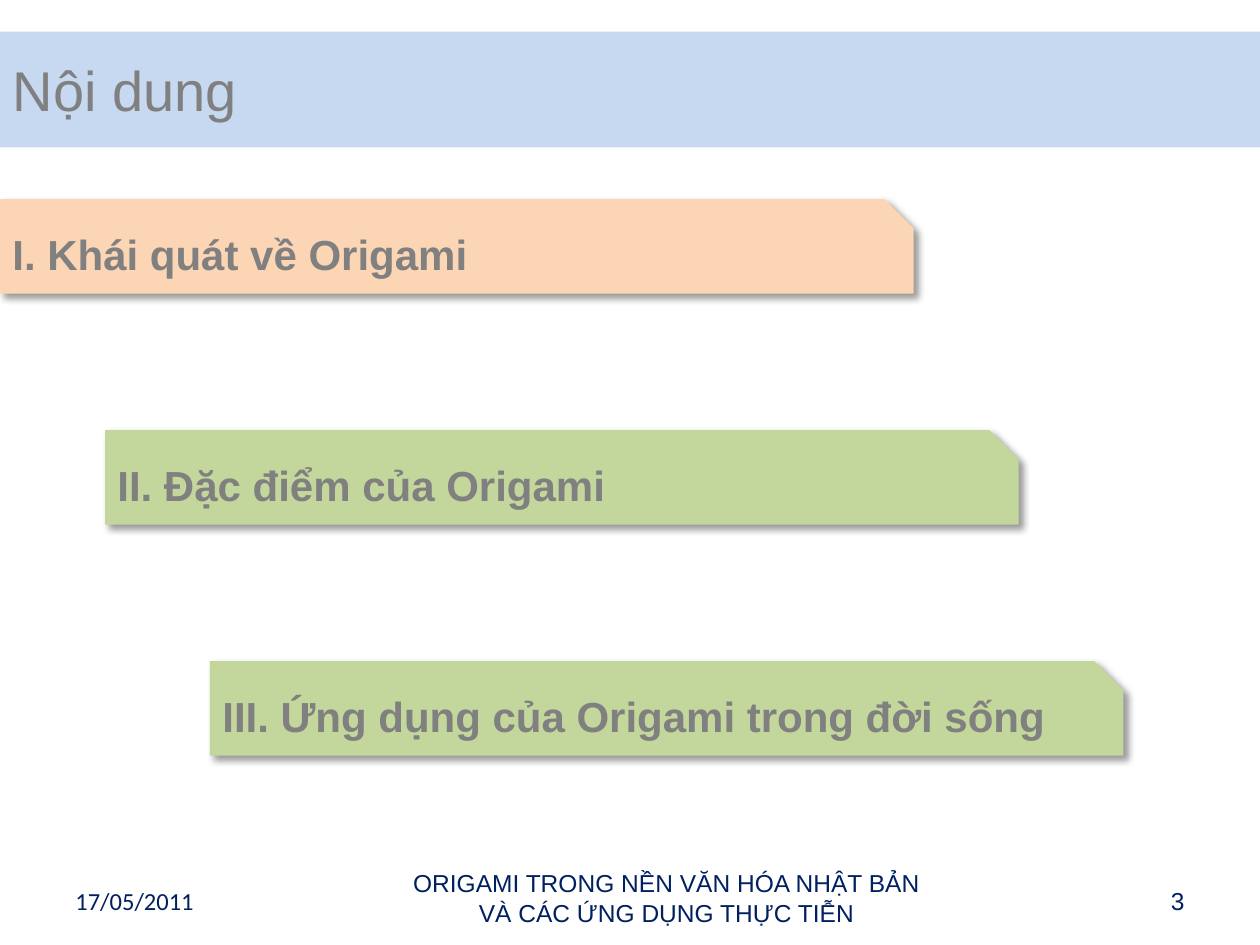
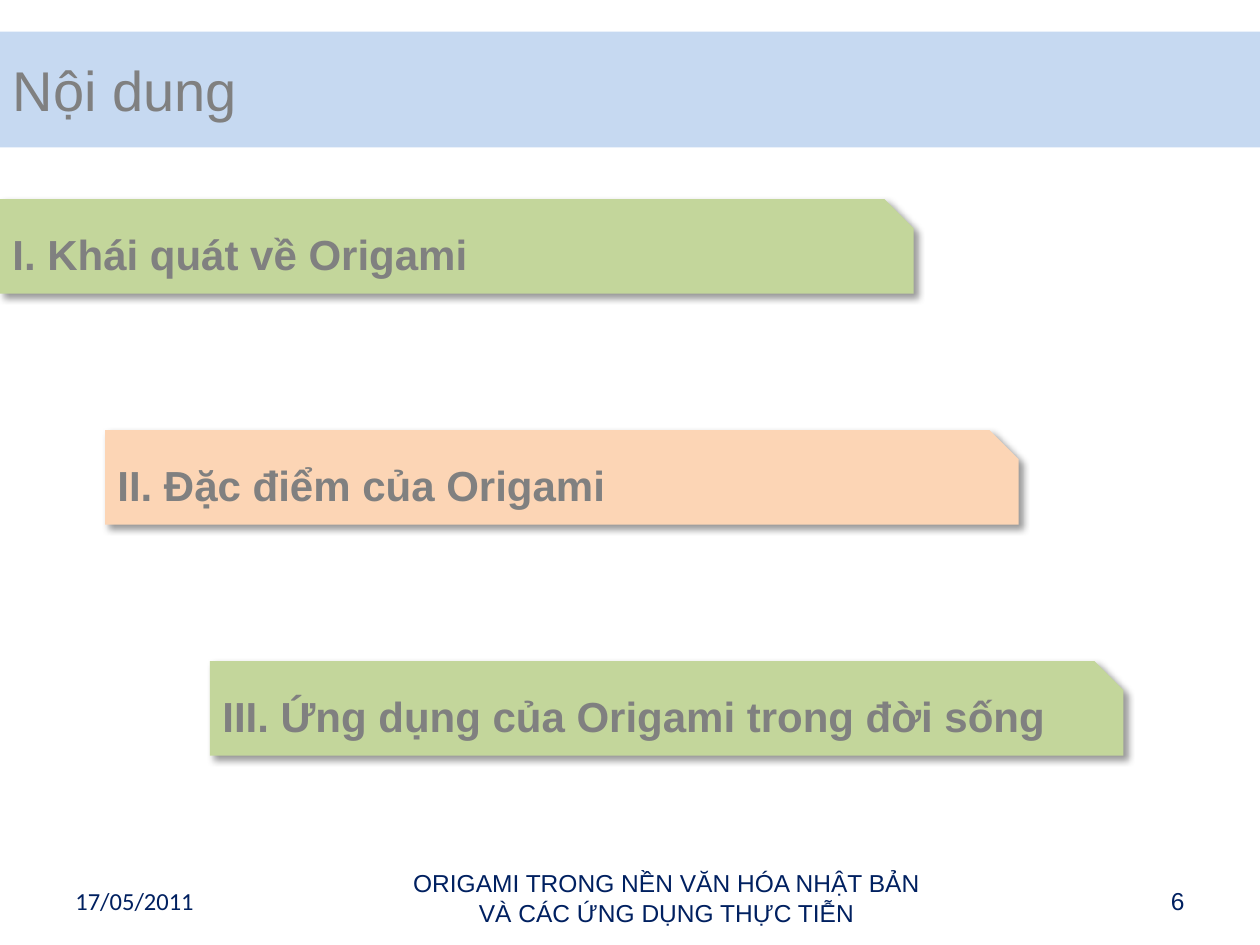
from lxml import etree
from pptx import Presentation
from pptx.dml.color import RGBColor
from pptx.enum import shapes, text
from pptx.oxml.ns import qn
from pptx.util import Inches, Pt

COLORS = {
    "band": "C6D9F1",
    "current": "FCD5B5",
    "other": "C3D69B",
    "heading": "808080",
    "footer": "002060",
    "shadow": "000000",
}
SECTIONS = [
    "I. Khái quát về Origami",
    "II. Đặc điểm của Origami",
    "III. Ứng dụng của Origami trong đời sống",
]
FOOTER = "ORIGAMI TRONG NỀN VĂN HÓA NHẬT BẢN VÀ CÁC ỨNG DỤNG THỰC TIỄN"
ALIGN = text.PP_ALIGN


def color(name):
    return RGBColor.from_string(COLORS[name])


def set_text(sp, content, size=14, font="Arial", fill="footer", bold=False, align=ALIGN.LEFT):
    tf = sp.text_frame
    tf.word_wrap = True
    tf.auto_size = text.MSO_AUTO_SIZE.NONE
    tf.vertical_anchor = text.MSO_ANCHOR.MIDDLE
    p = tf.paragraphs[0]
    p.alignment = align
    r = p.add_run()
    r.text = content
    r.font.name = font
    r.font.size = Pt(size)
    r.font.bold = bold
    r.font.color.rgb = color(fill)


def set_fill(sp, name):
    sp.fill.solid()
    sp.fill.fore_color.rgb = color(name)
    sp.line.fill.background()


def add_shadow(sp, blur=4, distance=3, angle=45, opacity=40):
    sp.shadow.inherit = False
    effects = sp._element.spPr.find(qn("a:effectLst"))
    outer = etree.SubElement(effects, qn("a:outerShdw"), blurRad=str(Pt(blur)), dist=str(Pt(distance)),
                             dir=str(angle * 60000), algn="tl", rotWithShape="0")
    clr = etree.SubElement(outer, qn("a:srgbClr"), val=COLORS["shadow"])
    etree.SubElement(clr, qn("a:alpha"), val=str(opacity * 1000))


def add_title(s, content):
    sp = s.shapes.title
    sp.left, sp.top, sp.width, sp.height = Inches(0), Inches(0.25), Inches(10), Inches(0.92)
    set_fill(sp, "band")
    set_text(sp, content, size=32, fill="heading")


def add_section(s, index, content, is_current):
    left, top = index * 2.5 / 3, 1.58 + index * 5.5 / 3
    sp = s.shapes.add_shape(shapes.MSO_SHAPE.SNIP_1_RECTANGLE, Inches(left), Inches(top),
                            Inches(7.25), Inches(0.75))
    sp.adjustments[0] = 0.307
    set_fill(sp, "current" if is_current else "other")
    add_shadow(sp)
    set_text(sp, content, size=24, fill="heading", bold=True)


def add_label(s, content, left, top, width, height, **fmt):
    sp = s.shapes.add_textbox(Inches(left), Inches(top), Inches(width), Inches(height))
    set_text(sp, content, **fmt)


def add_footer(s, number):
    add_label(s, "17/05/2011", 0.5, 6.95, 2.33, 0.4, font="Calibri")
    add_label(s, str(number), 7.17, 6.95, 2.33, 0.4, align=ALIGN.RIGHT)
    add_label(s, FOOTER, 3.08, 6.75, 4.42, 0.75, align=ALIGN.CENTER)


def add_agenda(prs, current, number):
    s = prs.slides.add_slide(prs.slide_layouts[5])
    add_title(s, "Nội dung")
    for index, section in enumerate(SECTIONS):
        add_section(s, index, section, index == current)
    add_footer(s, number)


def main():
    prs = Presentation()
    prs.slide_width, prs.slide_height = Inches(10), Inches(7.5)
    add_agenda(prs, current=0, number=3)
    add_agenda(prs, current=1, number=6)
    prs.save("out.pptx")


if __name__ == "__main__":
    main()
